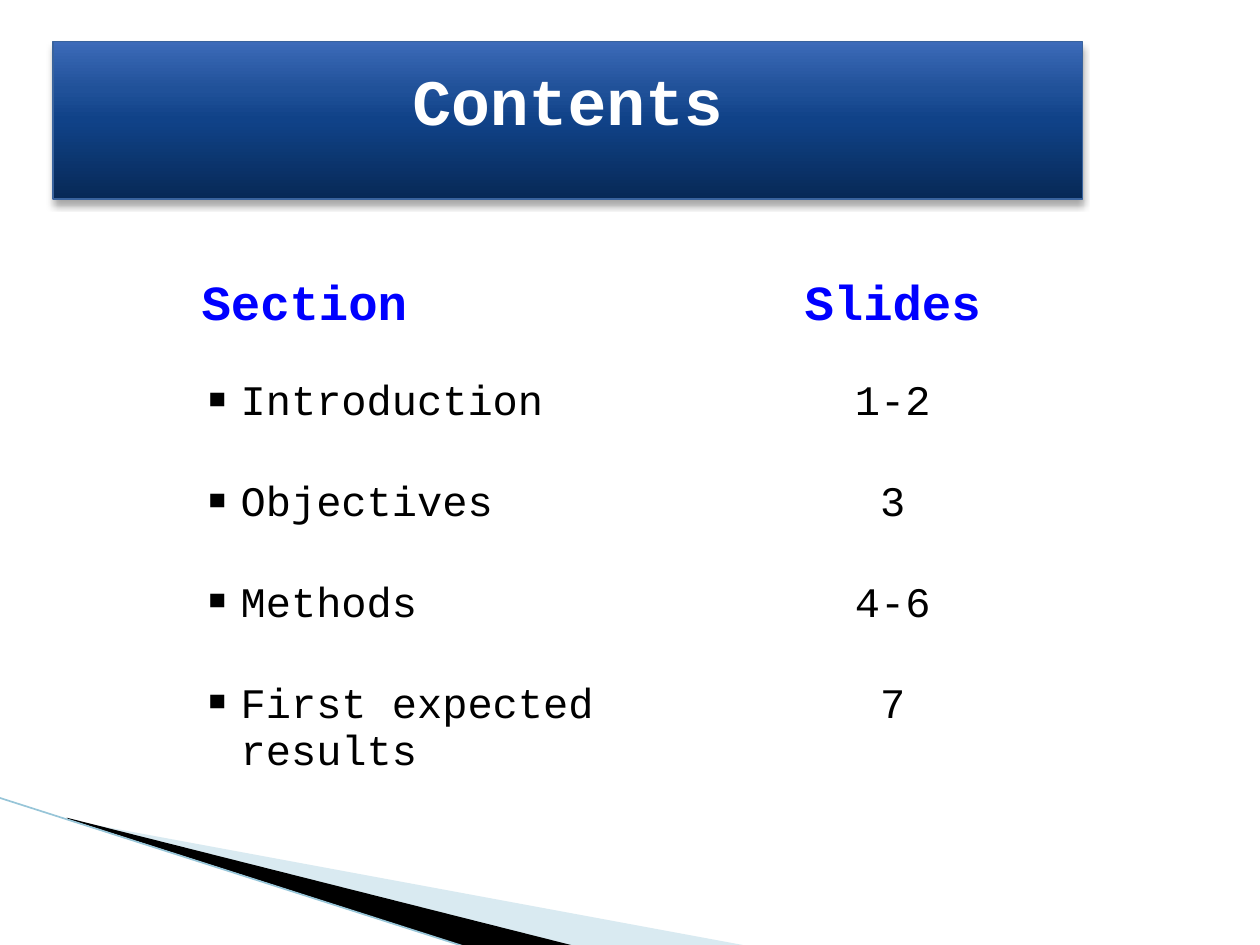
from lxml import etree
from pptx import Presentation
from pptx.dml.color import RGBColor
from pptx.enum.shapes import MSO_CONNECTOR, MSO_SHAPE
from pptx.enum.text import MSO_ANCHOR, PP_ALIGN
from pptx.oxml import parse_xml
from pptx.oxml.ns import qn
from pptx.util import Inches, Pt

RECT = MSO_SHAPE.RECTANGLE
LINE = MSO_CONNECTOR.STRAIGHT
TOP = MSO_ANCHOR.TOP
LEFT, CENTER = PP_ALIGN.LEFT, PP_ALIGN.CENTER

WHITE = RGBColor(0xFF, 0xFF, 0xFF)
BLACK = RGBColor(0x00, 0x00, 0x00)
BLUE = RGBColor(0x00, 0x00, 0xFF)
PALE = RGBColor(0xA0, 0xCB, 0xDC)
SKY = RGBColor(0x97, 0xC5, 0xD8)
EDGE = RGBColor(0x39, 0x63, 0x9D)
STOPS = [
    (0, RGBColor(0x07, 0x29, 0x56)),
    (50, RGBColor(0x10, 0x42, 0x88)),
    (70, RGBColor(0x20, 0x51, 0x99)),
    (100, RGBColor(0x3D, 0x6B, 0xB9)),
]

FONT = "Courier New"
SPACE = 'xmlns:a="http://schemas.openxmlformats.org/drawingml/2006/main"'
ROWS = [
    ("Section", "Slides"),
    ("Introduction", "1-2"),
    ("Objectives", "3"),
    ("Methods", "4-6"),
    ("First expected results", "7"),
]


def style(para, size, color, bold, align):
    para.alignment = align
    font = para.font
    font.name, font.size, font.bold = FONT, Pt(size), bold
    font.color.rgb = color


def add_wedge(slide, x, y, points, color, alpha=100):
    spots = [(Inches(x + dx), Inches(y + dy)) for dx, dy in points]
    form = slide.shapes.build_freeform(*spots[0])
    form.add_line_segments(spots[1:], close=True)
    wedge = form.convert_to_shape()
    wedge.shadow.inherit = False
    wedge.line.fill.background()
    wedge.fill.solid()
    wedge.fill.fore_color.rgb = color
    if alpha < 100:
        tint = wedge.fill._xPr.find(".//" + qn("a:srgbClr"))
        etree.SubElement(tint, qn("a:alpha"), val=str(alpha * 1000))


def add_corner(slide, x, y):
    add_wedge(slide, x + 0.56, y + 0.17,
              [(0, 0.01), (5.4, 1.01), (4.01, 1.01), (0, 0)], PALE, 40)
    add_wedge(slide, x + 0.54, y + 0.16,
              [(0, 0), (4.04, 1.02), (3.19, 1.03), (0.01, 0.01)], BLACK)
    edge = slide.shapes.add_connector(
        LINE, Inches(x), Inches(y), Inches(x + 3.72), Inches(y + 1.19))
    edge.line.color.rgb = SKY
    edge.line.width = Pt(0.95)
    etree.SubElement(edge._element.spPr, qn("a:effectLst"))


def add_list(slide, x, y, wide, high):
    frame = slide.shapes.add_table(
        len(ROWS), 2, Inches(x), Inches(y), Inches(wide), Inches(high))
    table = frame.table
    table.first_row = table.horz_banding = False
    frame._element.find(".//" + qn("a:tableStyleId")).text = (
        "{2D5ABB26-0587-4C30-8999-92F81FD0307C}")
    table.columns[0].width = Inches(3.92)
    table.columns[1].width = Inches(wide - 3.92)
    for row, texts in enumerate(ROWS):
        table.rows[row].height = Inches(0.8)
        head = row == 0
        for col, text in enumerate(texts):
            cell = table.cell(row, col)
            cell.fill.background()
            cell.vertical_anchor = TOP
            cell.text = text
            para = cell.text_frame.paragraphs[0]
            style(para, 28 if head else 24, BLUE if head else BLACK,
                  head, CENTER if col else LEFT)
            if col == 0 and not head:
                add_bullet(para)


def add_bullet(para):
    props = para._p.get_or_add_pPr()
    props.set("marL", str(Inches(0.31)))
    props.set("indent", str(-Inches(0.31)))
    mark = parse_xml(f'<a:buChar {SPACE} char="▪"/>')
    props.insert_element_before(mark, "a:tabLst", "a:defRPr", "a:extLst")


def add_title(slide, x, y, wide, high):
    box = slide.shapes.add_shape(
        RECT, Inches(x), Inches(y), Inches(wide), Inches(high))
    box.shadow.inherit = False
    box.line.color.rgb = EDGE
    box.line.width = Pt(0.75)
    box.fill.gradient()
    box.fill.gradient_angle = 90
    stops = box._element.spPr.find(".//" + qn("a:gsLst"))
    for stop in list(stops):
        stops.remove(stop)
    for place, color in STOPS:
        stop = etree.SubElement(stops, qn("a:gs"), pos=str(place * 1000))
        etree.SubElement(stop, qn("a:srgbClr"), val=str(color))
    glow = box._element.spPr.find(qn("a:effectLst"))
    glow.append(parse_xml(
        f'<a:outerShdw {SPACE} blurRad="{Pt(4)}" dist="{Pt(3)}" '
        'dir="5400000" rotWithShape="0"><a:srgbClr val="000000">'
        '<a:alpha val="35000"/></a:srgbClr></a:outerShdw>'))
    frame = box.text_frame
    frame.word_wrap = True
    frame.vertical_anchor = TOP
    frame.margin_top = Inches(0.15)
    frame.text = "Contents"
    style(frame.paragraphs[0], 37, WHITE, True, CENTER)


deck = Presentation()
deck.slide_width, deck.slide_height = Inches(10), Inches(7.5)
slide = deck.slides.add_slide(deck.slide_layouts[6])
add_corner(slide, -0.01, 6.33)
add_list(slide, 1.5, 2.17, 7.25, 4)
add_title(slide, 0.42, 0.33, 8.17, 1.25)
deck.save("out.pptx")
